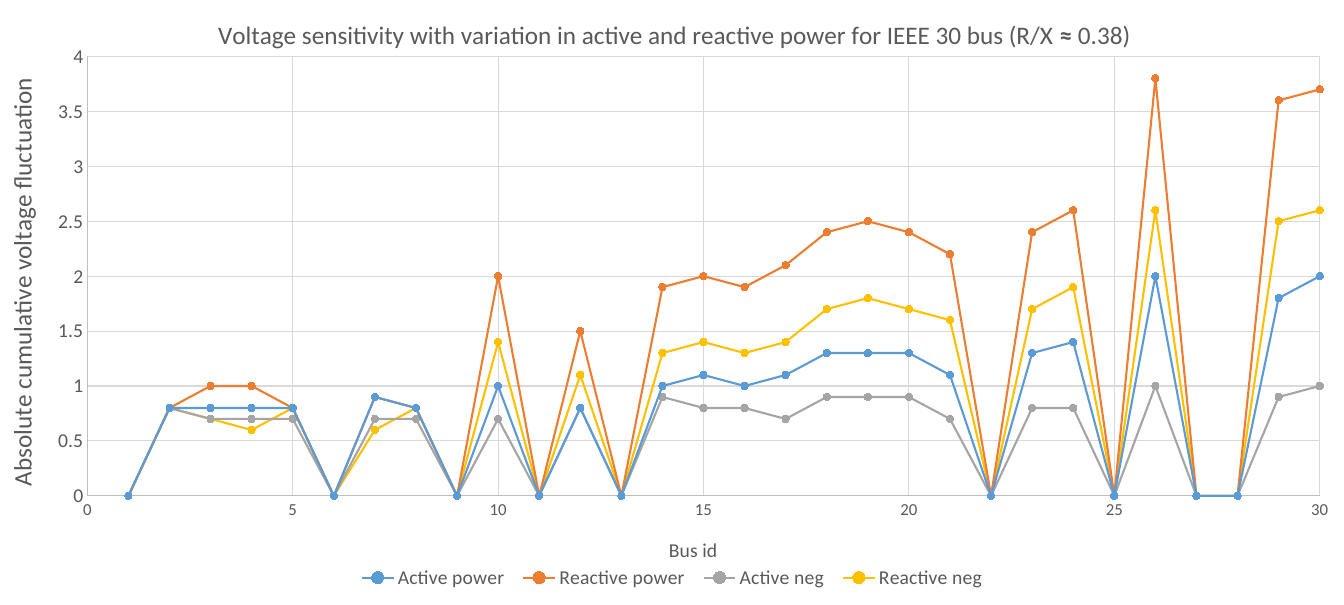
from lxml.etree import SubElement
from pptx import Presentation
from pptx.chart.data import XyChartData
from pptx.dml.color import RGBColor
from pptx.enum.chart import (XL_CHART_TYPE, XL_LEGEND_POSITION,
                             XL_MARKER_STYLE, XL_TICK_MARK)
from pptx.oxml.ns import qn
from pptx.util import Pt

FONT = "Calibri"
COLORS = {
    "text": "595959", "axis": "BFBFBF", "grid": "D9D9D9",
    "Active power": "5B9BD5", "Reactive power": "ED7D31",
    "Active neg": "A5A5A5", "Reactive neg": "FFC000",
}
SERIES = {
    "Active power": [
        0, 0.8, 0.8, 0.8, 0.8, 0, 0.9, 0.8, 0, 1,
        0, 0.8, 0, 1, 1.1, 1, 1.1, 1.3, 1.3, 1.3,
        1.1, 0, 1.3, 1.4, 0, 2, 0, 0, 1.8, 2],
    "Reactive power": [
        0, 0.8, 1, 1, 0.8, 0, 0.9, 0.8, 0, 2,
        0, 1.5, 0, 1.9, 2, 1.9, 2.1, 2.4, 2.5, 2.4,
        2.2, 0, 2.4, 2.6, 0, 3.8, 0, 0, 3.6, 3.7],
    "Active neg": [
        0, 0.8, 0.7, 0.7, 0.7, 0, 0.7, 0.7, 0, 0.7,
        0, 0.8, 0, 0.9, 0.8, 0.8, 0.7, 0.9, 0.9, 0.9,
        0.7, 0, 0.8, 0.8, 0, 1, 0, 0, 0.9, 1],
    "Reactive neg": [
        0, 0.8, 0.7, 0.6, 0.8, 0, 0.6, 0.8, 0, 1.4,
        0, 1.1, 0, 1.3, 1.4, 1.3, 1.4, 1.7, 1.8, 1.7,
        1.6, 0, 1.7, 1.9, 0, 2.6, 0, 0, 2.5, 2.6],
}


def rgb(name):
    return RGBColor.from_string(COLORS[name])


def style_font(font, size, bold=False):
    font.name = FONT
    font.size = Pt(size)
    font.bold = bold
    font.color.rgb = rgb("text")


def style_line(line, color, width):
    line.color.rgb = rgb(color)
    line.width = Pt(width)


def set_title(owner, size, *parts):
    p = owner.text_frame.paragraphs[0]
    for i, text in enumerate(parts):
        r = p.add_run()
        r.text = text
        style_font(r.font, size, bold=i % 2 == 1)


def style_axis(axis, title, title_size, label_size, maximum, step):
    axis.minimum_scale, axis.maximum_scale = 0, maximum
    axis.major_unit = step
    axis.major_tick_mark = axis.minor_tick_mark = XL_TICK_MARK.NONE
    axis.has_major_gridlines = True
    style_line(axis.major_gridlines.format.line, "grid", 0.75)
    style_line(axis.format.line, "axis", 0.75)
    style_font(axis.tick_labels.font, label_size)
    axis.tick_labels.number_format = "General"
    axis.tick_labels.number_format_is_linked = False
    set_title(axis.axis_title, title_size, title)


def style_series(ser):
    ser.smooth = False
    style_line(ser.format.line, ser.name, 1.5)
    ser.marker.style = XL_MARKER_STYLE.CIRCLE
    ser.marker.size = 5
    fill = ser.marker.format.fill
    fill.solid()
    fill.fore_color.rgb = rgb(ser.name)
    style_line(ser.marker.format.line, ser.name, 0.75)


def set_layout(chart, part, after, **settings):
    parent = chart.element.find(qn("c:chart")).find(qn("c:" + part))
    for old in parent.findall(qn("c:layout")):
        parent.remove(old)
    layout = SubElement(parent, qn("c:layout"))
    position = parent.index(parent.find(qn("c:" + after))) + 1 if after else 0
    parent.insert(position, layout)
    manual = SubElement(layout, qn("c:manualLayout"))
    for tag, val in settings.items():
        SubElement(manual, qn("c:" + tag)).set("val", str(val))


def add_sensitivity_chart(slide, x, y, w, h):
    data = XyChartData()
    for name, values in SERIES.items():
        ser = data.add_series(name)
        for bus, value in enumerate(values, 1):
            ser.add_data_point(bus, value)
    chart = slide.shapes.add_chart(XL_CHART_TYPE.XY_SCATTER_LINES,
                                   Pt(x), Pt(y), Pt(w), Pt(h), data).chart
    style_font(chart.font, 10)
    set_title(chart.chart_title, 18, "Voltage sensitivity with variation in "
              "active and reactive power for IEEE 30 bus (R/X ", "≈", " 0.38)")
    style_axis(chart.category_axis, "Bus id", 14, 12, 30, 5)
    style_axis(chart.value_axis, "Absolute cumulative voltage fluctuation",
               18, 14, 4, 0.5)
    chart.has_legend = True
    chart.legend.position = XL_LEGEND_POSITION.BOTTOM
    chart.legend.include_in_layout = False
    style_font(chart.legend.font, 14)
    plot = chart.plots[0]
    plot.vary_by_categories = False
    for ser in plot.series:
        style_series(ser)
    edge = {"xMode": "edge", "yMode": "edge"}
    set_layout(chart, "title", "tx", **edge, x=0.16, y=0.035)
    set_layout(chart, "plotArea", None, layoutTarget="inner", **edge,
               x=0.065, y=0.101, w=0.917, h=0.71)
    set_layout(chart, "legend", "legendPos", **edge,
               x=0.26, y=0.918, w=0.48, h=0.05)


prs = Presentation()
prs.slide_width, prs.slide_height = Pt(960), Pt(432)
slide = prs.slides.add_slide(prs.slide_layouts[6])
add_sensitivity_chart(slide, 0, -4.3, 960, 442)
prs.save("out.pptx")
